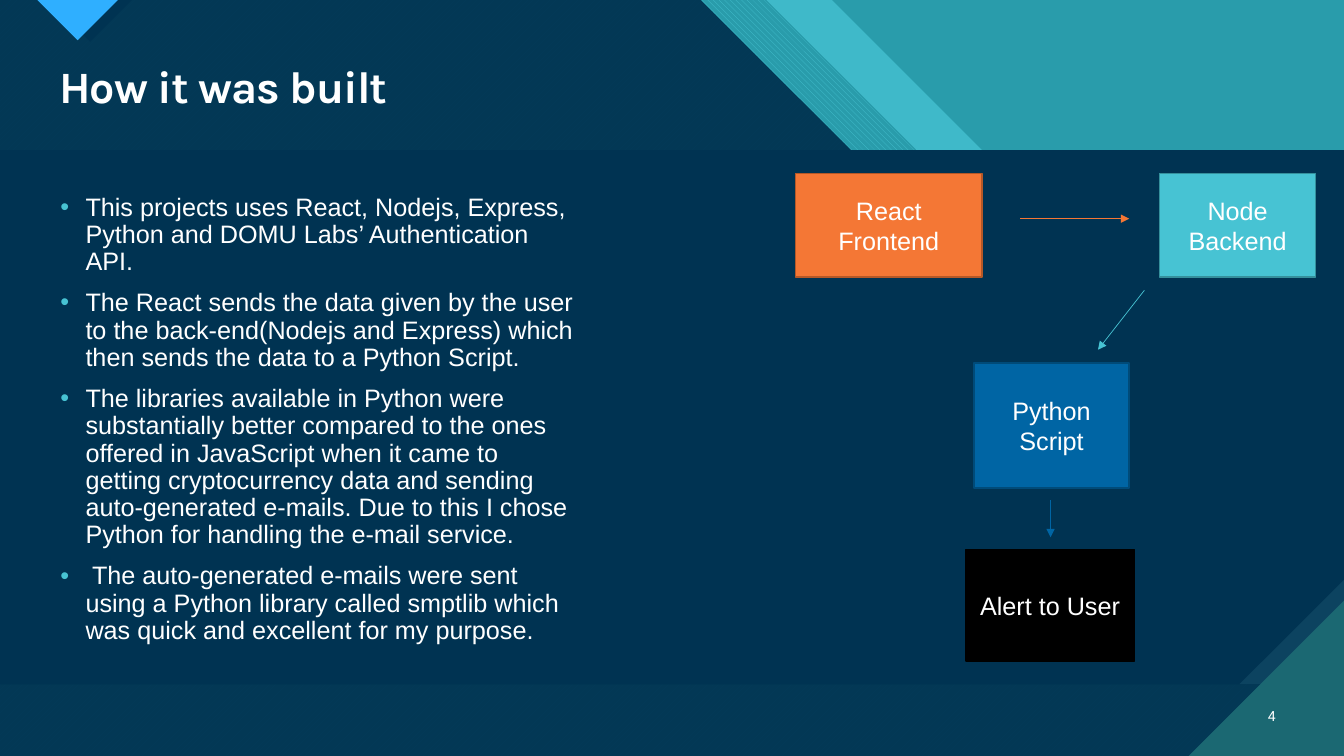
"""Build the "How it was built" architecture slide."""
from dataclasses import dataclass
from typing import Optional

from lxml.etree import SubElement
from pptx import Presentation
from pptx.dml.color import RGBColor
from pptx.enum.dml import MSO_PATTERN as Pattern
from pptx.enum.shapes import MSO_CONNECTOR as Connector, MSO_SHAPE as Preset
from pptx.enum.text import MSO_ANCHOR as Anchor, PP_ALIGN as Align
from pptx.oxml.ns import qn
from pptx.util import Inches, Pt

COLORS = {
    "white": "FFFFFF", "black": "000000", "navy": "003352", "night": "033855",
    "night_line": "053C5A", "slate": "0C4360", "teal": "299CAB",
    "light_teal": "3FB9C9", "aqua": "47C3D3", "aqua_edge": "35909C",
    "pine": "1B6872", "sky": "2FAFFF", "orange": "F47735",
    "orange_edge": "B55827", "blue": "0065A4", "blue_edge": "004B79",
}
WIDTH, HEIGHT = 13.33, 7.5
BAND_TOP, BAND_BOTTOM = 1.49, 6.79
SNIP = 1.04
CORNER = 1.54


@dataclass
class Panel:
    points: list[tuple[float, float]]
    color: str
    back_color: str = ""
    pattern: Optional[Pattern] = None


@dataclass
class Stage:
    label: str
    box: tuple[float, float, float, float]
    fill: str
    edge: str


@dataclass
class Arrow:
    start: tuple[float, float]
    end: tuple[float, float]
    color: str


@dataclass
class Copy:
    paragraphs: list[str]
    box: tuple[float, float, float, float]
    font: dict
    layout: dict
    frame: dict
    bulleted: bool = False
    tracking: int = 0


def rectangle(left: float, top: float, right: float, bottom: float) -> list:
    return [(left, top), (right, top), (right, bottom), (left, bottom)]


def stripe(left: float, right: float) -> list:
    return [(left, 0), (right, 0), (right + BAND_TOP, BAND_TOP), (left + BAND_TOP, BAND_TOP)]


def pointer(left: float, right: float) -> list:
    return [(left, 0), (right, 0), ((left + right) / 2, (right - left) / 2)]


PANELS = [
    Panel(rectangle(0, 0, WIDTH, HEIGHT), "teal"),
    Panel(stripe(7.6, 8.25), "light_teal"),
    Panel(stripe(6.95, 7.6), "aqua", "teal", Pattern.WIDE_DOWNWARD_DIAGONAL),
    Panel([(0, 0), (6.95, 0), (6.95 + BAND_TOP, BAND_TOP), (WIDTH, BAND_TOP),
           (WIDTH, HEIGHT), (0, HEIGHT)],
          "night_line", "night", Pattern.WIDE_UPWARD_DIAGONAL),
    Panel(pointer(0.48, 1.31), "navy"),
    Panel(pointer(0.37, 1.17), "sky"),
    Panel(rectangle(0, BAND_TOP, WIDTH, BAND_BOTTOM), "slate"),
    Panel([(0, BAND_TOP), (WIDTH, BAND_TOP), (WIDTH, BAND_BOTTOM - SNIP),
           (WIDTH - SNIP, BAND_BOTTOM), (0, BAND_BOTTOM)], "navy"),
    Panel([(WIDTH - CORNER, HEIGHT), (WIDTH, HEIGHT), (WIDTH, HEIGHT - CORNER)], "pine"),
]
STAGES = [
    Stage("React Frontend", (7.89, 1.72, 1.85, 1.03), "orange", "orange_edge"),
    Stage("Node Backend", (11.5, 1.72, 1.55, 1.03), "aqua", "aqua_edge"),
    Stage("Python Script", (9.66, 3.6, 1.54, 1.24), "blue", "blue_edge"),
    Stage("Alert to User", (9.58, 5.45, 1.67, 1.11), "black", "black"),
]
ARROWS = [
    Arrow((10.12, 2.17), (11.2, 2.17), "orange"),
    Arrow((11.35, 2.88), (10.89, 3.47), "aqua"),
    Arrow((10.42, 4.96), (10.42, 5.33), "blue"),
]
BODY_FONT = {"name": "Arial", "size": Pt(18)}
COPIES = [
    Copy(["How it was built"], (0.49, 0.59, 12.26, 0.59),
         {"name": "Karla", "size": Pt(32), "bold": True},
         {"line_spacing": 0.9}, {"word_wrap": True}, tracking=-70),
    Copy(["4"], (12.31, 6.9, 0.44, 0.4), {"name": "Roboto", "size": Pt(10)},
         {"alignment": Align.RIGHT},
         {"word_wrap": True, "vertical_anchor": Anchor.MIDDLE}),
    Copy([
        "This projects uses React, Nodejs, Express, Python and DOMU Labs’ Authentication API.",
        "The React sends the data given by the user to the back-end(Nodejs and Express) "
        "which then sends the data to a Python Script.",
        "The libraries available in Python were substantially better compared to the ones "
        "offered in JavaScript when it came to getting cryptocurrency data and sending "
        "auto-generated e-mails. Due to this I chose Python for handling the e-mail service.",
        " The auto-generated e-mails were sent using a Python library called smptlib which "
        "was quick and excellent for my purpose.",
    ], (0.5, 1.88, 5.36, 4.82), BODY_FONT,
        {"line_spacing": 0.9, "space_before": Pt(10)}, {"word_wrap": True}, bulleted=True),
]


def rgb(name: str) -> RGBColor:
    return RGBColor.from_string(COLORS[name])


def apply(target, values: dict) -> None:
    for attribute, value in values.items():
        setattr(target, attribute, value)


def paint(fill, color: str) -> None:
    fill.solid()
    fill.fore_color.rgb = rgb(color)


def write(paragraph, text: str, font: dict, layout: dict):
    run = paragraph.add_run()
    run.text = text
    apply(run.font, font)
    run.font.color.rgb = rgb("white")
    apply(paragraph, layout)
    return run


def add_bullet(paragraph) -> None:
    properties = paragraph._p.get_or_add_pPr()
    indent = Inches(0.25)
    properties.set("marL", str(indent))
    properties.set("indent", str(-indent))
    tint = SubElement(properties, qn("a:buClr"))
    SubElement(tint, qn("a:srgbClr"), val=COLORS["aqua"])
    SubElement(properties, qn("a:buFont"), typeface="Arial")
    SubElement(properties, qn("a:buChar"), char="•")


def draw_panel(shapes, panel: Panel) -> None:
    corners = [(Inches(x), Inches(y)) for x, y in panel.points]
    builder = shapes.build_freeform(*corners[0])
    builder.add_line_segments(corners[1:], close=True)
    backdrop = builder.convert_to_shape()
    backdrop.shadow.inherit = False
    backdrop.line.fill.background()
    if panel.pattern is None:
        paint(backdrop.fill, panel.color)
    else:
        backdrop.fill.patterned()
        backdrop.fill.pattern = panel.pattern
        backdrop.fill.fore_color.rgb = rgb(panel.color)
        backdrop.fill.back_color.rgb = rgb(panel.back_color)


def draw_copy(shapes, copy: Copy) -> None:
    frame = shapes.add_textbox(*map(Inches, copy.box)).text_frame
    apply(frame, copy.frame)
    for index, text in enumerate(copy.paragraphs):
        paragraph = frame.add_paragraph() if index else frame.paragraphs[0]
        run = write(paragraph, text, copy.font, copy.layout)
        if copy.tracking:
            run.font._element.set("spc", str(copy.tracking))
        if copy.bulleted:
            add_bullet(paragraph)


def draw_stage(shapes, stage: Stage) -> None:
    block = shapes.add_shape(Preset.RECTANGLE, *map(Inches, stage.box))
    block.shadow.inherit = False
    paint(block.fill, stage.fill)
    paint(block.line.fill, stage.edge)
    block.line.width = Pt(1)
    apply(block.text_frame, {"word_wrap": True, "vertical_anchor": Anchor.MIDDLE})
    write(block.text_frame.paragraphs[0], stage.label, BODY_FONT, {"alignment": Align.CENTER})


def draw_arrow(shapes, arrow: Arrow) -> None:
    flow = shapes.add_connector(Connector.STRAIGHT, *map(Inches, arrow.start + arrow.end))
    paint(flow.line.fill, arrow.color)
    flow.line.width = Pt(0.5)
    SubElement(flow.line._get_or_add_ln(), qn("a:tailEnd"), type="triangle")
    SubElement(flow._element.spPr, qn("a:effectLst"))


def main() -> None:
    deck = Presentation()
    apply(deck, {"slide_width": Inches(WIDTH), "slide_height": Inches(HEIGHT)})
    shapes = deck.slides.add_slide(deck.slide_layouts[6]).shapes
    for draw, parts in ((draw_panel, PANELS), (draw_copy, COPIES),
                        (draw_stage, STAGES), (draw_arrow, ARROWS)):
        for part in parts:
            draw(shapes, part)
    deck.save("out.pptx")


if __name__ == "__main__":
    main()
